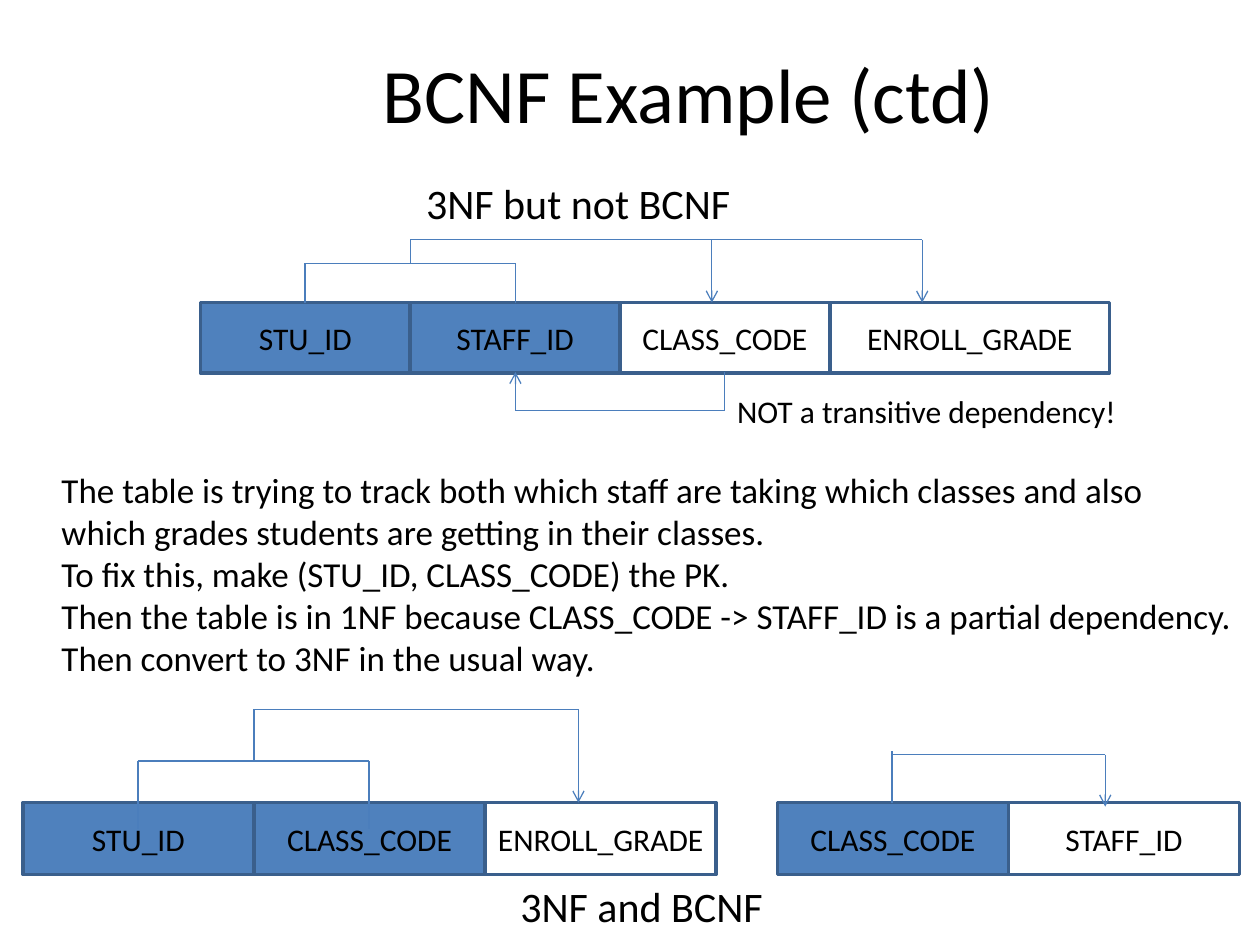
import pptx
import pptx.util
import pptx.dml.color
import pptx.enum.shapes
import pptx.enum.text
import pptx.oxml.ns
import lxml.etree
from pptx.util import Cm

COLOURS = {
    "key": "4F81BD",
    "plain": "FFFFFF",
    "border": "3A5F8C",
    "dependency": "4B7EBC",
    "text": "000000",
}
FONT = "Calibri"


def colour(name):
    return pptx.dml.color.RGBColor.from_string(COLOURS[name])


def write(shape, lines, size, centred=False, wrap=False):
    """Fill a shape with one paragraph per line."""
    frame = shape.text_frame
    frame.word_wrap = wrap
    frame.text = "\n".join(lines)
    for paragraph in frame.paragraphs:
        paragraph.font.name = FONT
        paragraph.font.size = pptx.util.Pt(size)
        paragraph.font.color.rgb = colour("text")
        if centred:
            paragraph.alignment = pptx.enum.text.PP_ALIGN.CENTER
    return frame


def add_text(page, lines, left, top, width, height, size):
    box = page.shapes.add_textbox(Cm(left), Cm(top), Cm(width), Cm(height))
    frame = write(box, lines, size)
    frame.auto_size = pptx.enum.text.MSO_AUTO_SIZE.SHAPE_TO_FIT_TEXT


def add_title(page, title):
    box = page.shapes.add_textbox(Cm(2.46), Cm(0.28), Cm(22.86), Cm(3.18))
    frame = write(box, [title], 44, centred=True, wrap=True)
    frame.vertical_anchor = pptx.enum.text.MSO_ANCHOR.MIDDLE


def add_relation(page, left, top, height, attributes):
    """Draw attributes, given as (name, width, is key), side by side."""
    for name, width, is_key in attributes:
        box = page.shapes.add_shape(
            pptx.enum.shapes.MSO_SHAPE.RECTANGLE,
            Cm(left), Cm(top), Cm(width), Cm(height))
        box.shadow.inherit = False
        box.fill.solid()
        box.fill.fore_color.rgb = colour("key" if is_key else "plain")
        box.line.color.rgb = colour("border")
        box.line.width = pptx.util.Pt(2)
        frame = write(box, [name], 18, centred=True)
        frame.vertical_anchor = pptx.enum.text.MSO_ANCHOR.MIDDLE
        left += width


def add_dependency(page, points, arrow=False):
    """Join the points with straight lines, the last one optionally an arrow."""
    for start, end in zip(points, points[1:]):
        line = page.shapes.add_connector(
            pptx.enum.shapes.MSO_CONNECTOR.STRAIGHT,
            Cm(start[0]), Cm(start[1]), Cm(end[0]), Cm(end[1]))
        line.line.color.rgb = colour("dependency")
        line.line.width = pptx.util.Pt(0.75)
        properties = line._element.spPr
        lxml.etree.SubElement(properties, pptx.oxml.ns.qn("a:effectLst"))
    if arrow:
        outline = line.line._get_or_add_ln()
        lxml.etree.SubElement(outline, pptx.oxml.ns.qn("a:tailEnd"), type="arrow")


def add_original_relation(page):
    add_relation(page, 4.04, 6.1, 1.42, [
        ("STU_ID", 4.23, True),
        ("STAFF_ID", 4.23, True),
        ("CLASS_CODE", 4.23, False),
        ("ENROLL_GRADE", 5.64, False),
    ])
    add_dependency(page, [(6.15, 6.1), (6.15, 5.31), (10.39, 5.31), (10.39, 6.1)])
    add_dependency(page, [(8.27, 5.31), (8.27, 4.83), (18.59, 4.83), (18.59, 6.1)],
                   arrow=True)
    add_dependency(page, [(14.35, 4.83), (14.35, 6.1)], arrow=True)
    add_dependency(page, [(14.61, 7.5), (14.61, 8.28), (10.39, 8.28), (10.39, 7.5)],
                   arrow=True)


def add_split_relations(page):
    width = 4.66
    add_relation(page, 15.67, 16.18, 1.45, [
        ("CLASS_CODE", width, True),
        ("STAFF_ID", width, False),
    ])
    add_relation(page, 0.46, 16.18, 1.45, [
        ("STU_ID", width, True),
        ("CLASS_CODE", width, True),
        ("ENROLL_GRADE", width, False),
    ])
    add_dependency(page, [(2.78, 16.71), (2.78, 15.34), (7.44, 15.34), (7.44, 16.71)])
    add_dependency(page, [(5.12, 15.34), (5.12, 14.3), (11.66, 14.3), (11.66, 16.18)],
                   arrow=True)
    add_dependency(page, [(17.98, 16.18), (17.98, 15.14)])
    add_dependency(page, [(17.98, 15.21), (22.28, 15.21), (22.28, 16.26)], arrow=True)


def main():
    deck = pptx.Presentation()
    deck.slide_width = Cm(25.4)
    deck.slide_height = Cm(19.05)
    page = deck.slides.add_slide(deck.slide_layouts[6])

    add_split_relations(page)
    add_text(page, ["3NF and BCNF"], 10.24, 17.63, 6.35, 1.28, 24)
    add_title(page, "BCNF Example (ctd)")
    add_original_relation(page)
    add_text(page, ["3NF but not BCNF"], 8.34, 3.45, 7.54, 1.28, 24)
    add_text(page, [
        "The table is trying to track both which staff are taking which classes and also",
        "which grades students are getting in their classes.",
        "To fix this, make (STU_ID, CLASS_CODE) the PK.",
        "Then the table is in 1NF because CLASS_CODE -> STAFF_ID is a partial dependency.",
        "Then convert to 3NF in the usual way.",
    ], 0.99, 9.32, 24.33, 4.52, 20)
    add_text(page, ["NOT a transitive dependency!"], 14.61, 7.77, 8.26, 1.03, 18)

    deck.save("out.pptx")


if __name__ == "__main__":
    main()
